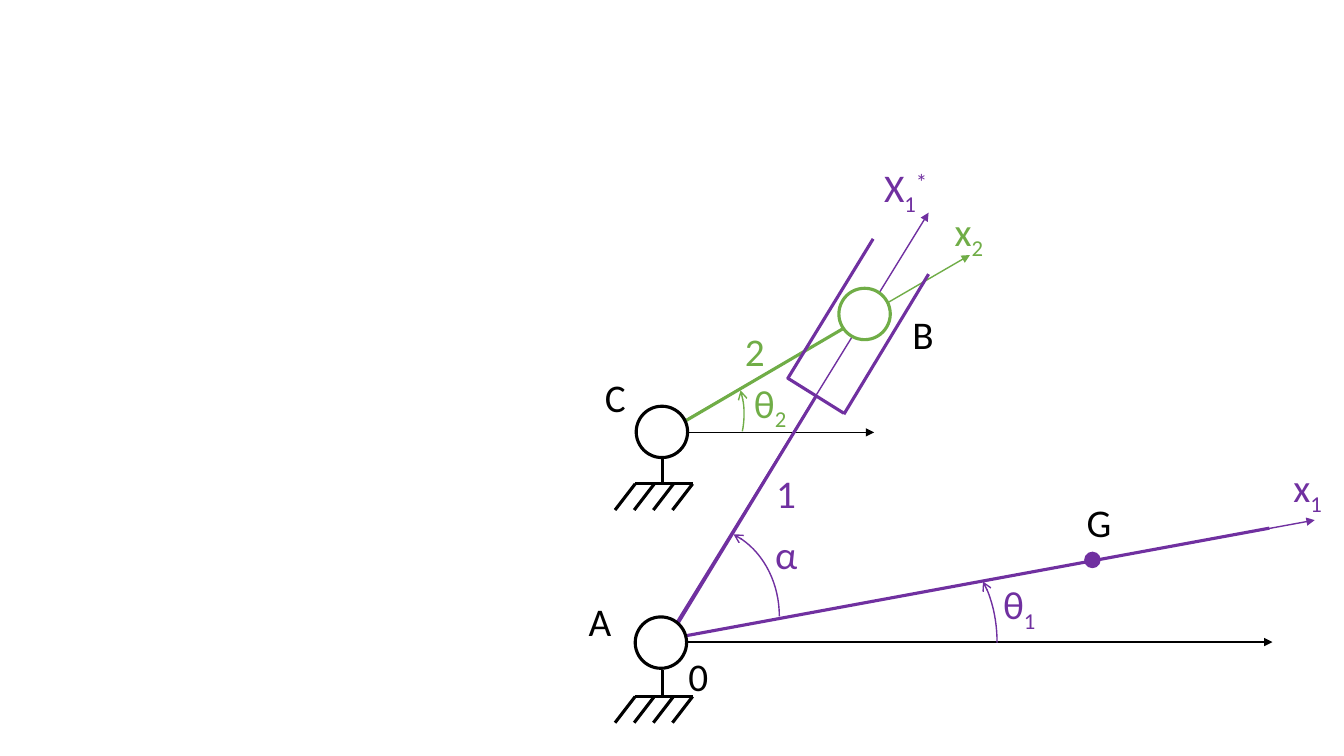
"""Draws the kinematic diagram of a slotted arm driven by a crank."""
from lxml import etree
from pptx import Presentation
from pptx.dml.color import RGBColor
from pptx.enum.shapes import MSO_CONNECTOR, MSO_SHAPE
from pptx.enum.text import MSO_AUTO_SIZE
from pptx.oxml.ns import qn
from pptx.util import Inches, Pt

STRAIGHT = MSO_CONNECTOR.STRAIGHT
OVAL, ARC = MSO_SHAPE.OVAL, MSO_SHAPE.ARC
GROW = MSO_AUTO_SIZE.SHAPE_TO_FIT_TEXT
BLACK, WHITE, PURPLE, GREEN = "000000", "FFFFFF", "7030A0", "70AD47"
FONT, TEXT_SIZE = "Calibri", 28
THIN, THICK = 1, 2.25
SUB, SUPER = -25000, 30000
LABEL_HEIGHT, JOINT_SIZE, MASS_SIZE = 0.57, 0.51, 0.15

AXES = [
    ((6.57, 4.29), (8.67, 4.29), BLACK),
    ((6.51, 6.37), (12.62, 6.37), BLACK),
    ((6.58, 6.38), (9.21, 2.11), PURPLE),
    ((6.57, 4.3), (9.62, 2.53), GREEN),
    ((6.57, 6.35), (13.04, 5.16), PURPLE),
]
CRANK = [((8.55, 3.15), (6.57, 4.31))]
LEVER = [((12.59, 5.24), (6.57, 6.35))]
SLOTTED_ARM = [
    ((8.1, 3.92), (6.72, 6.19)),
    ((8.66, 2.37), (7.81, 3.76)),
    ((8.37, 4.1), (7.81, 3.75)),
    ((9.21, 2.72), (8.37, 4.11)),
]
GROUND_TOPS = [(6.57, 4.54), (6.57, 6.65)]
STEM, HATCH_COUNT, HATCH_GAP = 0.26, 4, 0.19
HATCH_RIGHT, HATCH_RUN, HATCH_DROP = 0.3, 0.2, 0.26

JOINTS = [
    ((6.31, 4.03), JOINT_SIZE, WHITE, BLACK, THICK),
    ((8.32, 2.86), JOINT_SIZE, WHITE, GREEN, THICK),
    ((6.3, 6.12), JOINT_SIZE, WHITE, BLACK, THICK),
    ((10.76, 5.48), MASS_SIZE, PURPLE, PURPLE, THIN),
]
ANGLES = [
    ((8.86, 5.49, 1.03, 1.77), (181.07, 0), PURPLE),
    ((5.7, 3.27, 1.68, 1.68), (206.13, 6.97), GREEN),
    ((6.23, 5.23, 1.5, 1.77), (173.99, 0), PURPLE),
]
LABELS = [
    ((9.37, 2.01), 0.51, False, GREEN, [("x", 0), ("2", SUB)]),
    ((8.67, 1.57), 0.67, False, PURPLE, [("X", 0), ("1", SUB), ("*", SUPER)]),
    ((12.73, 4.55), 0.51, False, PURPLE, [("x", 0), ("1", SUB)]),
    ((5.74, 5.88), 0.43, False, BLACK, [("A", 0)]),
    ((8.95, 3.03), 0.42, False, BLACK, [("B", 0)]),
    ((5.9, 3.65), 0.41, True, BLACK, [("C", 0)]),
    ((10.68, 4.89), 0.41, True, BLACK, [("G", 0)]),
    ((6.73, 6.42), 0.4, False, BLACK, [("0", 0)]),
    ((7.6, 4.61), 0.4, False, PURPLE, [("1", 0)]),
    ((7.29, 3.2), 0.4, False, GREEN, [("2", 0)]),
    ((9.85, 5.71), 0.63, True, PURPLE, [("θ", 0), ("1", SUB)]),
    ((7.38, 3.71), 0.63, True, GREEN, [("θ", 0), ("2", SUB)]),
    ((7.59, 5.21), 0.63, True, PURPLE, [("α", 0)]),
]


def color(value):
    return RGBColor.from_string(value)


def set_line(shape, value, width, end=None, arrow=None):
    shape.line.color.rgb = color(value)
    shape.line.width = Pt(width)
    if end:
        outline = shape._element.spPr.find(qn("a:ln"))
        etree.SubElement(outline, qn(end)).set("type", arrow)


def add_line(shapes, start, stop, value, width, end=None, arrow=None):
    points = [Inches(length) for length in (*start, *stop)]
    line = shapes.add_connector(STRAIGHT, *points)
    set_line(line, value, width, end, arrow)
    etree.SubElement(line._element.spPr, qn("a:effectLst"))


def add_bars(shapes, bars, value):
    for start, stop in bars:
        add_line(shapes, start, stop, value, THICK)


def ground_bars(x, top):
    base, right = top + STEM, x + HATCH_RIGHT
    span = (HATCH_COUNT - 1) * HATCH_GAP
    bars = [((x, top), (x, base)), ((right, base), (right - span, base))]
    for index in range(HATCH_COUNT):
        left = right - index * HATCH_GAP
        bars.append(((left, base), (left - HATCH_RUN, base + HATCH_DROP)))
    return bars


def add_joint(shapes, corner, size, fill, value, width):
    joint = shapes.add_shape(OVAL, *map(Inches, (*corner, size, size)))
    joint.shadow.inherit = False
    joint.fill.solid()
    joint.fill.fore_color.rgb = color(fill)
    set_line(joint, value, width)


def add_angle(shapes, bounds, sweep, value):
    angle = shapes.add_shape(ARC, *map(Inches, bounds))
    angle.shadow.inherit = False
    angle.fill.background()
    for index, limit in enumerate(sweep):
        angle.adjustments[index] = limit
    set_line(angle, value, THIN, "a:headEnd", "arrow")


def add_label(shapes, corner, width, wrap, value, parts):
    box = shapes.add_textbox(*map(Inches, (*corner, width, LABEL_HEIGHT)))
    frame = box.text_frame
    frame.word_wrap = wrap
    frame.auto_size = GROW
    for text, baseline in parts:
        span = frame.paragraphs[0].add_run()
        span.text = text
        span.font.name = FONT
        span.font.size = Pt(TEXT_SIZE)
        span.font.color.rgb = color(value)
        if baseline:
            span.font._element.set("baseline", str(baseline))


def main():
    deck = Presentation()
    deck.slide_width, deck.slide_height = Inches(13.33), Inches(7.5)
    shapes = deck.slides.add_slide(deck.slide_layouts[6]).shapes
    for start, stop, value in AXES:
        add_line(shapes, start, stop, value, THIN, "a:tailEnd", "triangle")
    add_bars(shapes, CRANK, GREEN)
    for top in GROUND_TOPS:
        add_bars(shapes.add_group_shape().shapes, ground_bars(*top), BLACK)
    add_bars(shapes, LEVER, PURPLE)
    add_bars(shapes.add_group_shape().shapes, SLOTTED_ARM, PURPLE)
    for joint in JOINTS:
        add_joint(shapes, *joint)
    for angle in ANGLES:
        add_angle(shapes, *angle)
    for label in LABELS:
        add_label(shapes, *label)
    deck.save("out.pptx")


if __name__ == "__main__":
    main()
